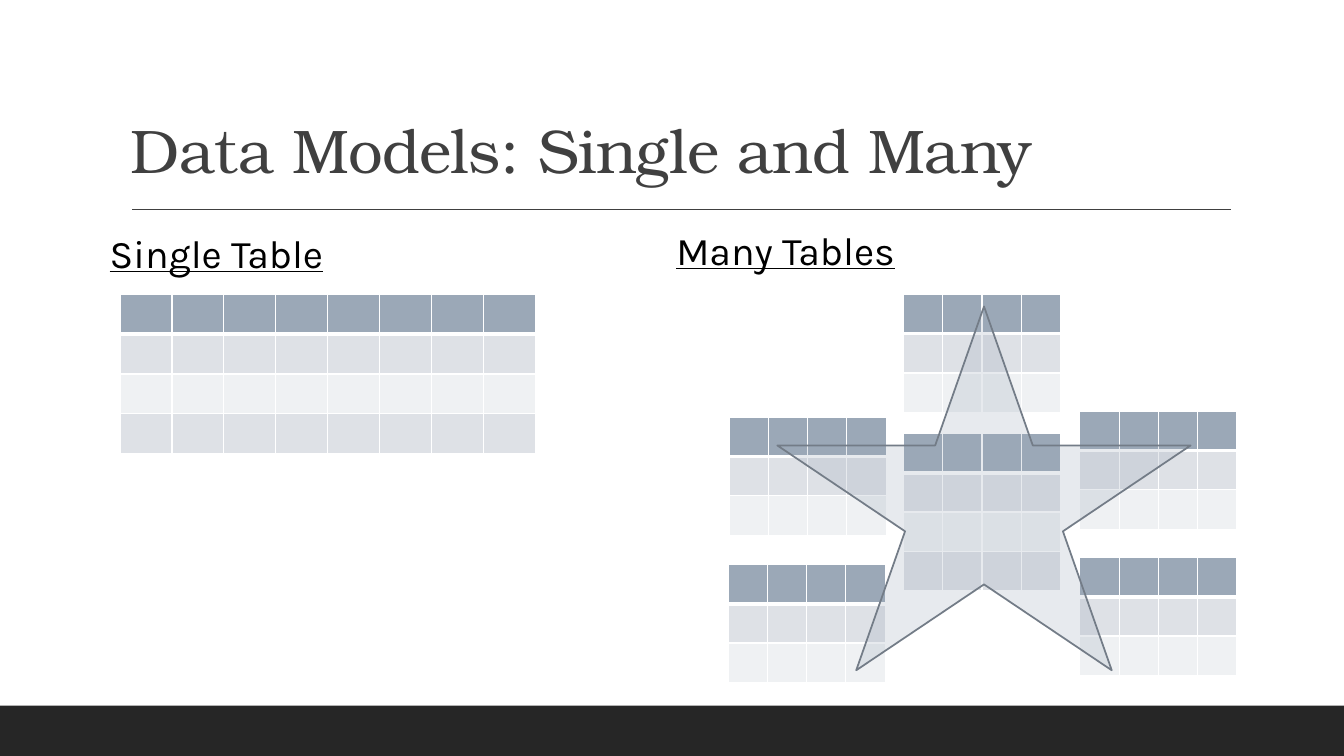
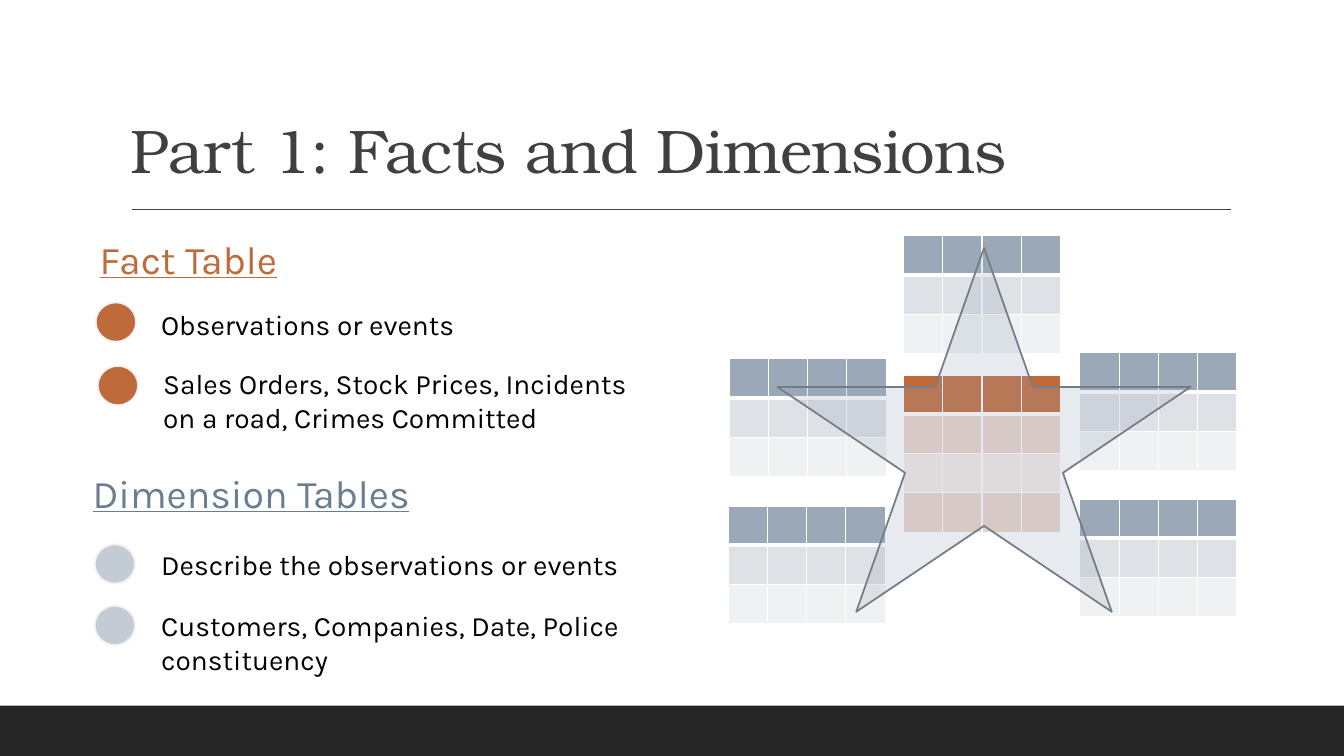
from lxml import etree
from pptx import Presentation
from pptx.dml.color import RGBColor
from pptx.enum.shapes import MSO_CONNECTOR, MSO_SHAPE
from pptx.enum.text import MSO_ANCHOR
from pptx.oxml.ns import qn
from pptx.util import Inches, Pt

COLOURS = {
    "white": "FFFFFF", "black": "000000", "band": "262626", "title": "404040",
    "slate": "9BA8B7", "slate_dark": "6A7D93", "slate_soft": "C3CBD4",
    "star_line": "737C87", "rust": "BF6A3B", "dot_line": "F2F2F2",
    "slate_odd": "DEE1E6", "slate_even": "EFF1F3",
    "rust_odd": "E8D4CE", "rust_even": "F4EBE8",
}
TITLE_FONT, BODY_FONT = "TeX Gyre Bonum", "Karla"

# Table palettes: header, odd rows, even rows
DIMENSION = ("slate", "slate_odd", "slate_even")
FACT = ("rust", "rust_odd", "rust_even")

MODELS_TITLE = "Data Models: Single and Many"
MODELS_HEADINGS = [  # text, left, top, colour
    ("Many Tables", 6.61, 2.2, "black"),
    ("Single Table", 0.99, 2.23, "black"),
]
FACTS_TITLE = "Part 1: Facts and Dimensions"
FACTS_HEADINGS = [
    ("Fact Table", 0.89, 2.29, "rust"),
    ("Dimension Tables", 0.82, 4.61, "slate_dark"),
]
FACTS_POINTS = [  # text, text left, text top, height, dot left, dot top, dot colour
    ("Observations or events", 1.5, 3, 0.44, 0.95, 3, "rust"),
    ("Sales Orders, Stock Prices, Incidents on a road, Crimes Committed",
     1.52, 3.59, 0.77, 0.97, 3.63, "rust"),
    ("Describe the observations or events", 1.5, 5.38, 0.44, 0.94, 5.4, "slate_soft"),
    ("Customers, Companies, Date, Police constituency",
     1.5, 5.99, 0.77, 0.94, 6.01, "slate_soft"),
]

# Star schema: left edge and drop below the topmost table
CENTRE_TABLE = (8.96, 1.38)
OUTER_TABLES = [(7.23, 1.22), (10.71, 1.16), (7.22, 2.68), (10.71, 2.61), (8.96, 0)]
STAR_LEFT, STAR_DROP, STAR_WIDTH, STAR_HEIGHT = 7.71, 0.12, 4.1, 3.61
STAR_OPACITY = 23
STAR_CELL = 0.39


def rgb(name):
    """Return the named colour."""
    return RGBColor.from_string(COLOURS[name])


def add_shape(slide, kind, box, fill, line=None):
    """Add a flat preset shape, outlined only if a line colour is given."""
    shape = slide.shapes.add_shape(kind, *map(Inches, box))
    shape.shadow.inherit = False
    shape.fill.solid()
    shape.fill.fore_color.rgb = rgb(fill)
    if line:
        shape.line.color.rgb = rgb(line)
        shape.line.width = Pt(1.25)
    else:
        shape.line.fill.background()
    return shape


def add_text(slide, text, box, size, colour, font=BODY_FONT, underline=None):
    """Add a wrapping text box with one paragraph and return the box."""
    text_box = slide.shapes.add_textbox(*map(Inches, box))
    text_box.text_frame.word_wrap = True
    paragraph = text_box.text_frame.paragraphs[0]
    paragraph.add_run().text = text
    paragraph.font.name = font
    paragraph.font.size = Pt(size)
    paragraph.font.color.rgb = rgb(colour)
    paragraph.font.underline = underline
    return text_box


def add_headings(slide, headings):
    """Add the underlined section headings."""
    for text, left, top, colour in headings:
        add_text(slide, text, (left, top, 4.9, 0.57), 28, colour, underline=True)


def set_borders(cell, bottom):
    """Give a cell white borders, with its own bottom width in points."""
    properties = cell._tc.get_or_add_tcPr()
    for side, width in (("L", 1), ("R", 1), ("T", 1), ("B", bottom)):
        border = etree.SubElement(properties, qn(f"a:ln{side}"), w=str(Pt(width)))
        fill = etree.SubElement(border, qn("a:solidFill"))
        etree.SubElement(fill, qn("a:srgbClr"), val=COLOURS["white"])


def add_grid(slide, left, top, rows, columns, cell_width, row_height, palette):
    """Add an empty banded table with a header row."""
    header, odd, even = palette
    table = slide.shapes.add_table(
        rows, columns, Inches(left), Inches(top),
        Inches(cell_width * columns), Inches(row_height * rows)).table
    for column in table.columns:
        column.width = Inches(cell_width)
    for index, row in enumerate(table.rows):
        row.height = Inches(row_height)
        colour = header if index == 0 else odd if index % 2 else even
        for cell in row.cells:
            cell.margin_top = cell.margin_bottom = 0
            set_borders(cell, 1 if index else 3)
            cell.fill.solid()
            cell.fill.fore_color.rgb = rgb(colour)


def add_star_schema(slide, top, centre_palette):
    """Add the centre table, the five outer tables and the star over them."""
    left, drop = CENTRE_TABLE
    add_grid(slide, left, top + drop, 4, 4, STAR_CELL, STAR_CELL, centre_palette)
    for left, drop in OUTER_TABLES:
        add_grid(slide, left, top + drop, 3, 4, STAR_CELL, STAR_CELL, DIMENSION)
    star = add_shape(slide, MSO_SHAPE.STAR_5_POINT,
                     (STAR_LEFT, top + STAR_DROP, STAR_WIDTH, STAR_HEIGHT),
                     "slate", "star_line")
    colour = star._element.spPr.find(qn("a:solidFill"))[0]
    etree.SubElement(colour, qn("a:alpha"), val=str(STAR_OPACITY * 1000))


def start_slide(presentation, title):
    """Add a slide with the shared band, rule and title."""
    slide = presentation.slides.add_slide(presentation.slide_layouts[6])
    add_shape(slide, MSO_SHAPE.RECTANGLE, (0, 7, 13.33, 0.5), "band")
    rule = slide.shapes.add_connector(
        MSO_CONNECTOR.STRAIGHT, *map(Inches, (1.31, 2.08, 12.21, 2.08)))
    rule.line.color.rgb = rgb("title")
    rule.line.width = Pt(1)
    etree.SubElement(rule._element.spPr, qn("a:effectLst"))
    frame = add_text(slide, title, (1.2, 0.31, 11, 1.59), 44, "title",
                     TITLE_FONT).text_frame
    frame.vertical_anchor = MSO_ANCHOR.BOTTOM
    paragraph = frame.paragraphs[0]
    paragraph.line_spacing = 0.9
    paragraph.runs[0]._r.get_or_add_rPr().set("spc", "-50")
    return slide


def build_models(presentation):
    """Build the slide that sets one table beside many."""
    slide = start_slide(presentation, MODELS_TITLE)
    add_star_schema(slide, 2.92, DIMENSION)
    add_grid(slide, 1.19, 2.92, 4, 8, 0.515, 0.395, DIMENSION)
    add_headings(slide, MODELS_HEADINGS)


def build_facts(presentation):
    """Build the slide on fact and dimension tables."""
    slide = start_slide(presentation, FACTS_TITLE)
    add_star_schema(slide, 2.34, FACT)
    add_headings(slide, FACTS_HEADINGS)
    for text, left, top, height, dot_left, dot_top, colour in FACTS_POINTS:
        add_text(slide, text, (left, top, 4.99, height), 20, "black")
        add_shape(slide, MSO_SHAPE.OVAL, (dot_left, dot_top, 0.4, 0.39),
                  colour, "dot_line")


presentation = Presentation()
presentation.slide_width, presentation.slide_height = Inches(13.33), Inches(7.5)
build_models(presentation)
build_facts(presentation)
presentation.save("out.pptx")
